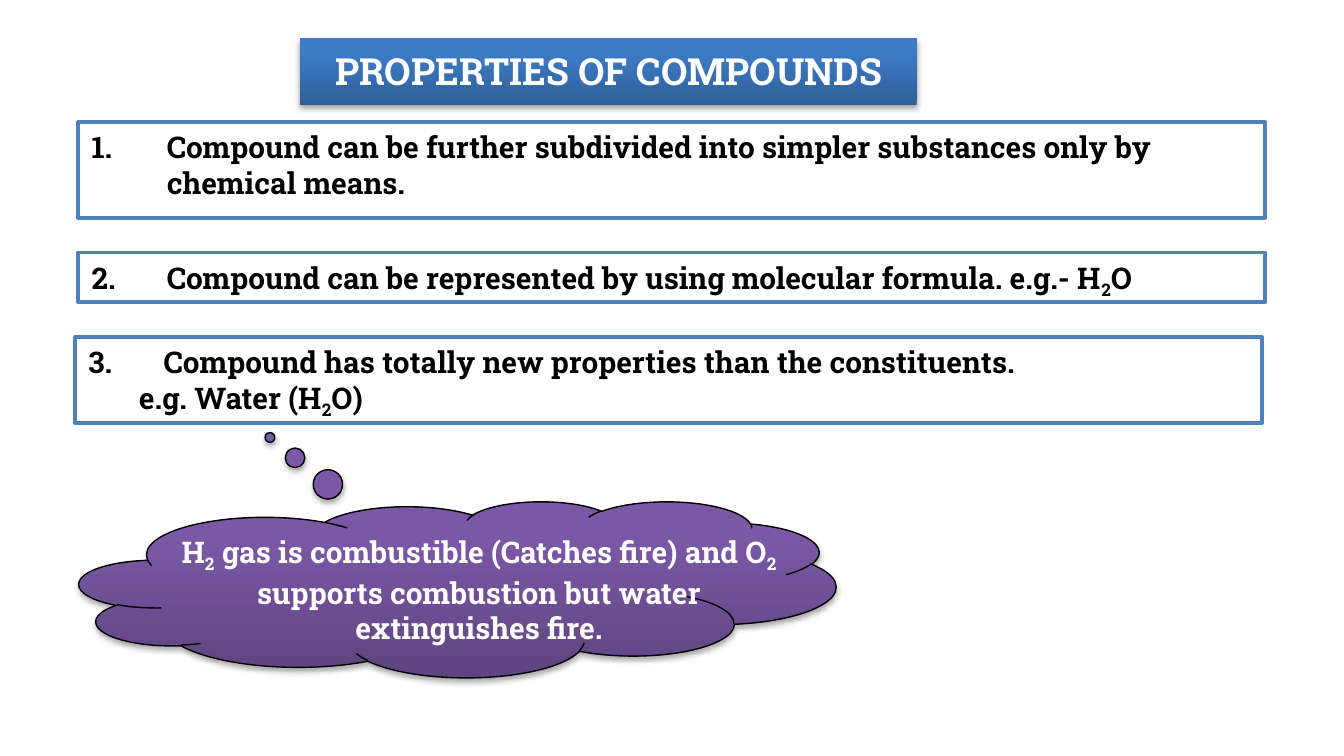
import copy

import pptx
import pptx.dml.color
import pptx.enum.shapes
import pptx.enum.text
import pptx.oxml
import pptx.oxml.ns
import pptx.util

SHAPES = pptx.enum.shapes.MSO_SHAPE
AUTO_SIZE = pptx.enum.text.MSO_AUTO_SIZE
ALIGN = pptx.enum.text.PP_ALIGN
ANCHOR = pptx.enum.text.MSO_ANCHOR
qn = pptx.oxml.ns.qn


def color(value):
    return pptx.dml.color.RGBColor.from_string(value)


class Board:
    font = "Roboto Slab"
    cell = pptx.util.Inches(0.1)
    hanging = 5.6

    def __init__(self, columns, rows):
        self.deck = pptx.Presentation()
        self.deck.slide_width = self.grid(columns)
        self.deck.slide_height = self.grid(rows)
        self.slide = self.deck.slides.add_slide(self.deck.slide_layouts[6])

    def grid(self, cells):
        return round(cells * self.cell)

    def place(self, box):
        return [self.grid(cells) for cells in box]

    def glossy(self, kind, box, stops, outline=None, parent=None):
        shape = (parent or self.slide).shapes.add_shape(kind, *self.place(box))
        shape.fill.gradient()
        shape.fill.gradient_angle = 90
        stop_list = shape.element.spPr.find(qn("a:gradFill")).find(qn("a:gsLst"))
        stop_list.insert(1, copy.deepcopy(stop_list[0]))
        for stop, position, shade in zip(shape.fill.gradient_stops, (0, 0.8, 1), stops):
            stop.position = position
            stop.color.rgb = color(shade)
        if outline:
            shape.line.color.rgb = color(outline)
            shape.line.width = pptx.util.Pt(0.75)
        else:
            shape.line.fill.background()
        shape.shadow.inherit = False
        shape.element.spPr.find(qn("a:effectLst")).append(pptx.oxml.parse_xml(
            f'<a:outerShdw {pptx.oxml.ns.nsdecls("a")} blurRad="39370" dist="22860" '
            'dir="5400000" rotWithShape="0"><a:srgbClr val="000000">'
            '<a:alpha val="35000"/></a:srgbClr></a:outerShdw>'))
        return shape

    def runs(self, paragraph, parts, size, shade):
        for index, part in enumerate(parts):
            run = paragraph.add_run()
            run.text = part
            run.font.name = self.font
            run.font.size = pptx.util.Pt(size)
            run.font.bold = True
            run.font.color.rgb = color(shade)
            if index % 2:
                run.font._element.set("baseline", "-25000")

    def indent(self, paragraph, left, first=0):
        properties = paragraph._p.get_or_add_pPr()
        properties.set("marL", str(self.grid(left)))
        properties.set("indent", str(self.grid(first)))
        return properties

    def caption(self, box, parts, size, wrap=True, left=0, parent=None):
        frame = (parent or self.slide).shapes.add_textbox(*self.place(box)).text_frame
        frame.word_wrap = wrap
        frame.auto_size = AUTO_SIZE.SHAPE_TO_FIT_TEXT
        paragraph = frame.paragraphs[0]
        paragraph.alignment = ALIGN.CENTER
        self.indent(paragraph, left)
        self.runs(paragraph, parts, size, "FFFFFF")

    def numbered(self, box, number, statement, example=None):
        panel = self.slide.shapes.add_shape(SHAPES.RECTANGLE, *self.place(box))
        panel.shadow.inherit = False
        panel.fill.solid()
        panel.fill.fore_color.rgb = color("FFFFFF")
        panel.line.color.rgb = color("4F81BD")
        panel.line.width = pptx.util.Pt(2)
        frame = panel.text_frame
        frame.word_wrap = True
        frame.auto_size = AUTO_SIZE.SHAPE_TO_FIT_TEXT
        frame.vertical_anchor = ANCHOR.TOP
        paragraph = frame.paragraphs[0]
        paragraph.alignment = ALIGN.LEFT
        properties = self.indent(paragraph, self.hanging, -self.hanging)
        properties.append(pptx.oxml.parse_xml(
            f'<a:buFont {pptx.oxml.ns.nsdecls("a")} typeface="+mj-lt"/>'))
        properties.append(pptx.oxml.parse_xml(
            f'<a:buAutoNum {pptx.oxml.ns.nsdecls("a")} type="arabicPeriod" startAt="{number}"/>'))
        self.runs(paragraph, statement, 16, "000000")
        if example:
            paragraph = frame.add_paragraph()
            paragraph.alignment = ALIGN.LEFT
            self.indent(paragraph, 3.75)
            self.runs(paragraph, example, 16, "000000")

    def thought(self, box, text_box, parts, stops):
        group = self.slide.shapes.add_group_shape()
        cloud = self.glossy(SHAPES.CLOUD_CALLOUT, box, stops, "000000", group)
        cloud.adjustments[0] = -0.248
        cloud.adjustments[1] = -0.863
        self.caption(text_box, parts, 16, left=self.hanging, parent=group)


def main():
    board = Board(100, 56.25)
    board.glossy(SHAPES.RECTANGLE, (22.3, 2.8, 45.9, 5), ("2F5F99", "3D7CC7", "3A7CCB"))
    board.caption((22, 3.1, 46.6, 4.4), ["PROPERTIES OF COMPOUNDS"], 20, wrap=False)

    properties = [
        ((5.83, 9.1, 88.3, 7.1),
         ["Compound can be further subdivided into simpler substances only by chemical means."],
         None),
        ((5.83, 18.8, 88.3, 3.7),
         ["Compound can be represented by using molecular formula. e.g.- H", "2", "O"],
         None),
        ((5.6, 25.1, 88.3, 6.4),
         ["Compound has totally new properties than the constituents."],
         ["e.g. Water (H", "2", "O)"]),
    ]
    for number, (box, statement, example) in enumerate(properties, 1):
        board.numbered(box, number, statement, example)

    board.thought(
        (5.9, 37.3, 56.3, 13.1), (5.7, 39.2, 54.3, 9.1),
        ["H", "2", " gas is combustible (Catches fire) and O", "2",
         " supports combustion but water extinguishes fire."],
        ("5F4480", "7B58A6", "7C57A8"))
    board.deck.save("out.pptx")


if __name__ == "__main__":
    main()
